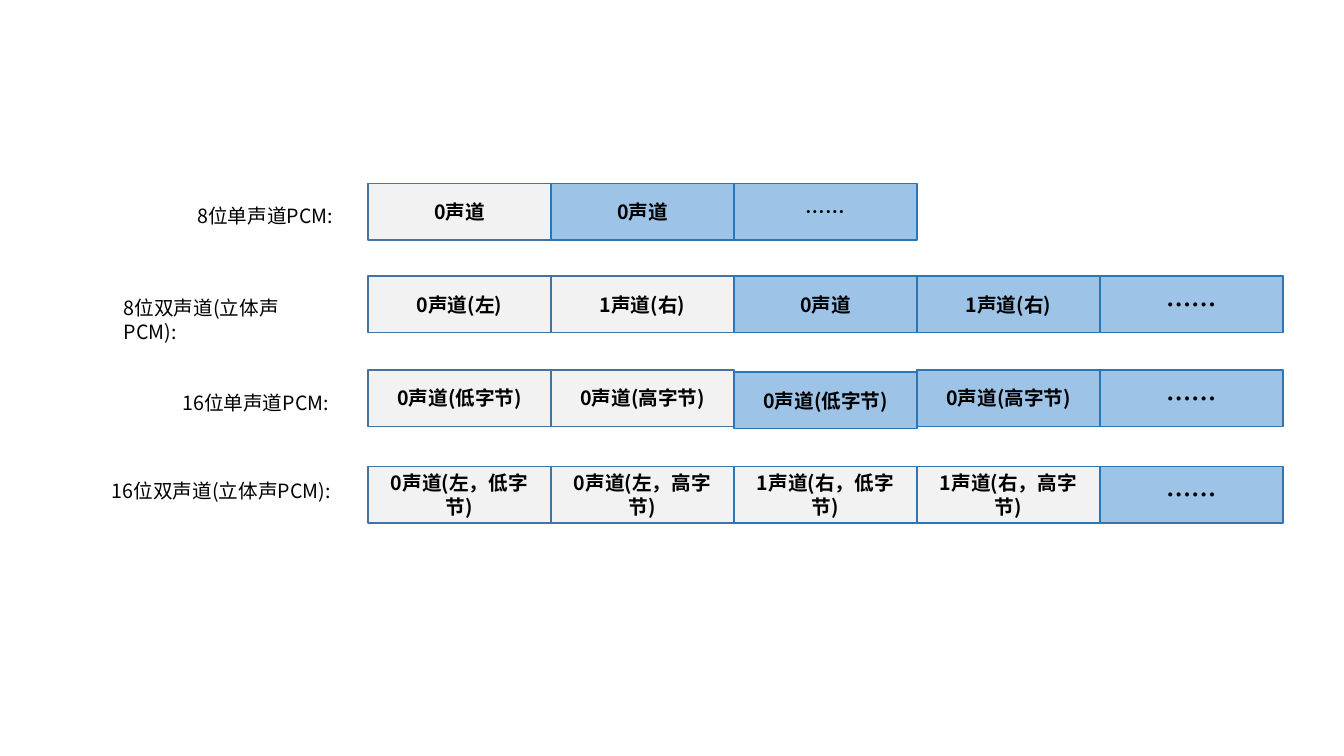
from lxml import etree
from pptx import Presentation
from pptx.dml.color import RGBColor
from pptx.enum.shapes import MSO_SHAPE
from pptx.enum.text import MSO_ANCHOR, PP_ALIGN
from pptx.oxml.ns import qn
from pptx.util import Inches, Pt

RECTANGLE = MSO_SHAPE.RECTANGLE
MIDDLE = MSO_ANCHOR.MIDDLE
CENTER = PP_ALIGN.CENTER
FONT = "Noto Sans CJK SC"
COLORS = {
    "text": "000000",
    "first_sample": "F2F2F2",
    "next_sample": "9DC3E6",
    "gray_line": "43739E",
    "blue_line": "2E75B6",
}
CELL_LEFT, CELL_WIDTH, CELL_HEIGHT = 3.65, 1.815, 0.56
ELLIPSIS = "……"

# Label, label left, top and width, row top, ellipsis size, cells in the first sample, cells
PCM_ROWS = [
    ("8位单声道PCM:", 1.86, 1.97, 1.97, 1.82, 14, 1,
     ["0声道", "0声道", ELLIPSIS]),
    ("8位双声道(立体声PCM):", 1.13, 2.89, 2.23, 2.74, 18, 2,
     ["0声道(左)", "1声道(右)", "0声道", "1声道(右)", ELLIPSIS]),
    ("16位单声道PCM:", 1.71, 3.83, 1.97, 3.67, 18, 2,
     ["0声道(低字节)", "0声道(高字节)", "0声道(低字节)", "0声道(高字节)", ELLIPSIS]),
    ("16位双声道(立体声PCM):", 1.01, 4.7, 2.74, 4.63, 18, 4,
     ["0声道(左，低字节)", "0声道(左，高字节)", "1声道(右，低字节)", "1声道(右，高字节)", ELLIPSIS]),
]
CELL_SHIFTS = {(2, 2): 0.02}  # (row, column): extra distance down


def write_text(shape, text, size, bold=False):
    """Fill a shape with one run, setting the Latin and East Asian fonts."""
    shape.text_frame.text = text
    shape.text_frame.word_wrap = True
    font = shape.text_frame.paragraphs[0].runs[0].font
    font.name = FONT
    font.size = Pt(size)
    font.bold = bold
    font.color.rgb = RGBColor.from_string(COLORS["text"])
    east_asian = etree.SubElement(font._element, qn("a:ea"))
    east_asian.set("typeface", FONT)


presentation = Presentation()
presentation.slide_width = Inches(13.33)
presentation.slide_height = Inches(7.5)
slide = presentation.slides.add_slide(presentation.slide_layouts[6])

for row, (label, label_left, label_top, label_width, row_top,
          ellipsis_size, first_count, cells) in enumerate(PCM_ROWS):
    for column, text in enumerate(cells):
        shape = slide.shapes.add_shape(
            RECTANGLE,
            Inches(CELL_LEFT + column * CELL_WIDTH),
            Inches(row_top + CELL_SHIFTS.get((row, column), 0)),
            Inches(CELL_WIDTH), Inches(CELL_HEIGHT))
        in_first = column < first_count
        fill = "first_sample" if in_first else "next_sample"
        line = "gray_line" if in_first and column < 2 else "blue_line"
        shape.shadow.inherit = False
        shape.fill.solid()
        shape.fill.fore_color.rgb = RGBColor.from_string(COLORS[fill])
        shape.line.color.rgb = RGBColor.from_string(COLORS[line])
        shape.line.width = Pt(1)
        write_text(shape, text, ellipsis_size if text == ELLIPSIS else 14, bold=True)
        shape.text_frame.vertical_anchor = MIDDLE
        shape.text_frame.paragraphs[0].alignment = CENTER

    label_box = slide.shapes.add_textbox(
        Inches(label_left), Inches(label_top), Inches(label_width), Inches(0.34))
    write_text(label_box, label, 14)

presentation.save("out.pptx")
